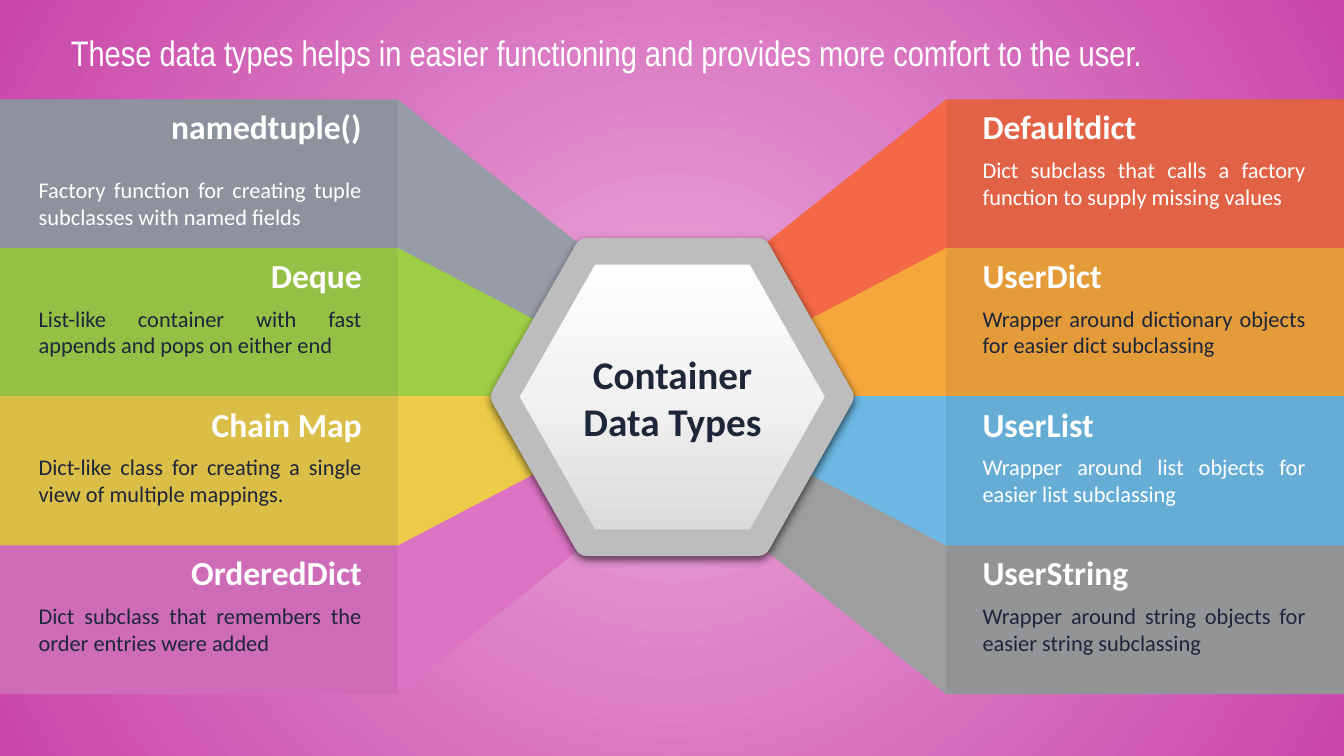
from dataclasses import dataclass

from lxml.etree import SubElement
from pptx import Presentation
from pptx.dml.color import RGBColor
from pptx.enum.shapes import MSO_SHAPE
from pptx.enum.text import MSO_ANCHOR as Anchor, PP_ALIGN as Align
from pptx.oxml import parse_xml
from pptx.oxml.ns import nsdecls, qn
from pptx.util import Cm, Pt

WHITE = RGBColor(0xFF, 0xFF, 0xFF)
NAVY = RGBColor(0x1E, 0x26, 0x3A)
SILVER = RGBColor(0xBD, 0xBD, 0xBD)
SLATE = RGBColor(0x98, 0x9C, 0xA7)
GREEN = RGBColor(0x9E, 0xCE, 0x46)
YELLOW = RGBColor(0xEC, 0xCB, 0x49)
PINK = RGBColor(0xDD, 0x73, 0xC3)
RED = RGBColor(0xF3, 0x68, 0x46)
ORANGE = RGBColor(0xF5, 0xA7, 0x3B)
BLUE = RGBColor(0x6D, 0xB9, 0xE4)
GREY = RGBColor(0x9E, 0x9E, 0x9E)

# All lengths are centimetres.
PAGE_WIDTH, PAGE_HEIGHT = 25.4, 14.29
BAND_TOP, BAND_HEIGHT, BAND_WIDTH = 1.88, 2.81, 7.52
MIDDLE = BAND_TOP + 2 * BAND_HEIGHT
TEXT_WIDTH, TITLE_HEIGHT = 6.11, 0.97

# Ribbons of the upper left quarter; the other quarters mirror them.
OUTER = [(0, 1.88), (7.52, 1.88), (11.12, 4.75), (12.5, 5.56),
         (11.71, 6.93), (10.31, 6.15), (0, 4.69)]
INNER = [(0, 4.69), (7.52, 4.69), (10.31, 6.15), (11.71, 6.93),
         (10.9, 8.33), (9.53, 7.51), (0, 7.51)]
HEXAGON = [(9.53, 7.5), (11.1, 4.75), (14.32, 4.75),
           (15.88, 7.5), (14.32, 10.26), (11.1, 10.26)]


@dataclass(frozen=True)
class Band:
    title: str
    summary: str
    fill: RGBColor
    ink: RGBColor
    row: int
    right: bool = False
    drop: float = 0  # extra space above the summary

    @property
    def outer(self) -> bool:
        return self.row in (0, 3)


BANDS = [
    Band("namedtuple()", "Factory function for creating tuple subclasses with named fields",
         SLATE, WHITE, 0, drop=0.38),
    Band("Deque", "List-like container with fast appends and pops on either end",
         GREEN, NAVY, 1),
    Band("Chain Map", "Dict-like class for creating a single view of multiple mappings.",
         YELLOW, NAVY, 2),
    Band("OrderedDict", "Dict subclass that remembers the order entries were added",
         PINK, NAVY, 3),
    Band("Defaultdict", "Dict subclass that calls a factory function to supply missing values",
         RED, WHITE, 0, True),
    Band("UserDict", "Wrapper around dictionary objects for easier dict subclassing",
         ORANGE, NAVY, 1, True),
    Band("UserList", "Wrapper around list objects for easier list subclassing",
         BLUE, WHITE, 2, True),
    Band("UserString", "Wrapper around string objects for easier string subclassing",
         GREY, NAVY, 3, True),
]


def set_gradient(element, stops: list[tuple[int, str]], direction: str) -> None:
    """Replace the first solid fill inside element with a gradient."""
    marks = "".join(f'<a:gs pos="{position * 1000}"><a:srgbClr val="{colour}"/></a:gs>'
                    for position, colour in stops)
    gradient = parse_xml(f'<a:gradFill {nsdecls("a")} rotWithShape="1">'
                         f"<a:gsLst>{marks}</a:gsLst>{direction}</a:gradFill>")
    solid = next(element.iter(qn("a:solidFill")))
    solid.getparent().replace(solid, gradient)


def add_polygon(page, points: list[tuple[float, float]], fill: RGBColor):
    corners = [(Cm(x), Cm(y)) for x, y in points]
    builder = page.shapes.build_freeform(*corners[0])
    builder.add_line_segments(corners[1:], close=True)
    shape = builder.convert_to_shape()
    shape.shadow.inherit = False
    shape.fill.solid()
    shape.fill.fore_color.rgb = fill
    shape.line.fill.background()
    return shape


def add_ribbon(page, band: Band) -> None:
    points = OUTER if band.outer else INNER
    if band.right:
        points = [(PAGE_WIDTH - x, y) for x, y in points]
    if band.row > 1:
        points = [(x, 2 * MIDDLE - y) for x, y in points]
    add_polygon(page, points, band.fill)


def add_shade(page, left: float) -> None:
    """Darken one column of bands with a faint veil."""
    veil = page.shapes.add_shape(MSO_SHAPE.RECTANGLE, Cm(left), Cm(BAND_TOP),
                                 Cm(BAND_WIDTH), Cm(4 * BAND_HEIGHT))
    veil.shadow.inherit = False
    veil.line.fill.background()
    veil.fill.solid()
    veil.fill.fore_color.rgb = NAVY
    colour = next(veil.element.spPr.iter(qn("a:srgbClr")))
    SubElement(colour, qn("a:alpha"), val="8000")


def add_hub(page) -> None:
    hub = add_polygon(page, HEXAGON, WHITE)
    properties = hub.element.spPr
    set_gradient(properties, [(0, "FFFFFF"), (50, "F2F2F2"), (100, "D8D8D8")],
                 '<a:lin ang="5400000" scaled="0"/>')
    hub.line.color.rgb = SILVER
    hub.line.width = Pt(14.25)
    shadow = SubElement(properties.find(qn("a:effectLst")), qn("a:outerShdw"),
                        blurRad=str(Pt(4.5)), dist=str(Pt(1.5)), dir="5400000",
                        algn="t", rotWithShape="0")
    black = SubElement(shadow, qn("a:srgbClr"), val="000000")
    SubElement(black, qn("a:alpha"), val="63000")


def add_text(page, lines: list[str], place: tuple[float, float, float, float],
             size: float, colour: RGBColor, align: Align, bold: bool = False,
             anchor: Anchor = Anchor.TOP, name: str = "Calibri",
             margins: tuple[float, float] = (0, 0.1)) -> None:
    """Add a wrapped text box; margins are (sides, top and bottom)."""
    box = page.shapes.add_textbox(*map(Cm, place))
    frame = box.text_frame
    frame.word_wrap = True
    frame.vertical_anchor = anchor
    frame.margin_left = frame.margin_right = Cm(margins[0])
    frame.margin_top = frame.margin_bottom = Cm(margins[1])
    frame.text = "\n".join(lines)
    for para in frame.paragraphs:
        para.alignment = align
        font = para.font
        font.name, font.size, font.bold = name, Pt(size), bold
        font.color.rgb = colour


def add_band_text(page, band: Band) -> None:
    left = 18.57 if band.right else 0.73
    top = BAND_TOP + band.row * BAND_HEIGHT
    add_text(page, [band.title], (left, top + 0.02, TEXT_WIDTH, TITLE_HEIGHT), 18, WHITE,
             Align.LEFT if band.right else Align.RIGHT, bold=True, anchor=Anchor.BOTTOM)
    add_text(page, [band.summary], (left, top + TITLE_HEIGHT + band.drop, TEXT_WIDTH, 1.73),
             12, band.ink, Align.JUSTIFY)


def main() -> None:
    deck = Presentation()
    deck.slide_width, deck.slide_height = Cm(PAGE_WIDTH), Cm(PAGE_HEIGHT)
    page = deck.slides.add_slide(deck.slide_layouts[6])

    page.background.fill.solid()
    set_gradient(page.element, [(0, "EAA8DA"), (100, "C946A9")],
                 '<a:path path="circle"><a:fillToRect l="50000" t="50000" '
                 'r="50000" b="50000"/></a:path>')

    for band in sorted(BANDS, key=lambda item: not item.outer):
        add_ribbon(page, band)
    add_hub(page)
    for left in (0, PAGE_WIDTH - BAND_WIDTH):
        add_shade(page, left)
    for band in BANDS:
        add_band_text(page, band)
    add_text(page, ["Container", "Data Types"], (10.26, 6.96, 4.9, 1.09), 21, NAVY,
             Align.CENTER, bold=True, anchor=Anchor.MIDDLE, margins=(0.18, 0.1))
    add_text(page, ["These data types helps in easier functioning and provides "
                    "more comfort to the user."], (1.09, 0.33, 23.42, 1.32), 19, WHITE,
             Align.LEFT, name="Arial Narrow", margins=(0.25, 0.25))
    deck.save("out.pptx")


if __name__ == "__main__":
    main()
